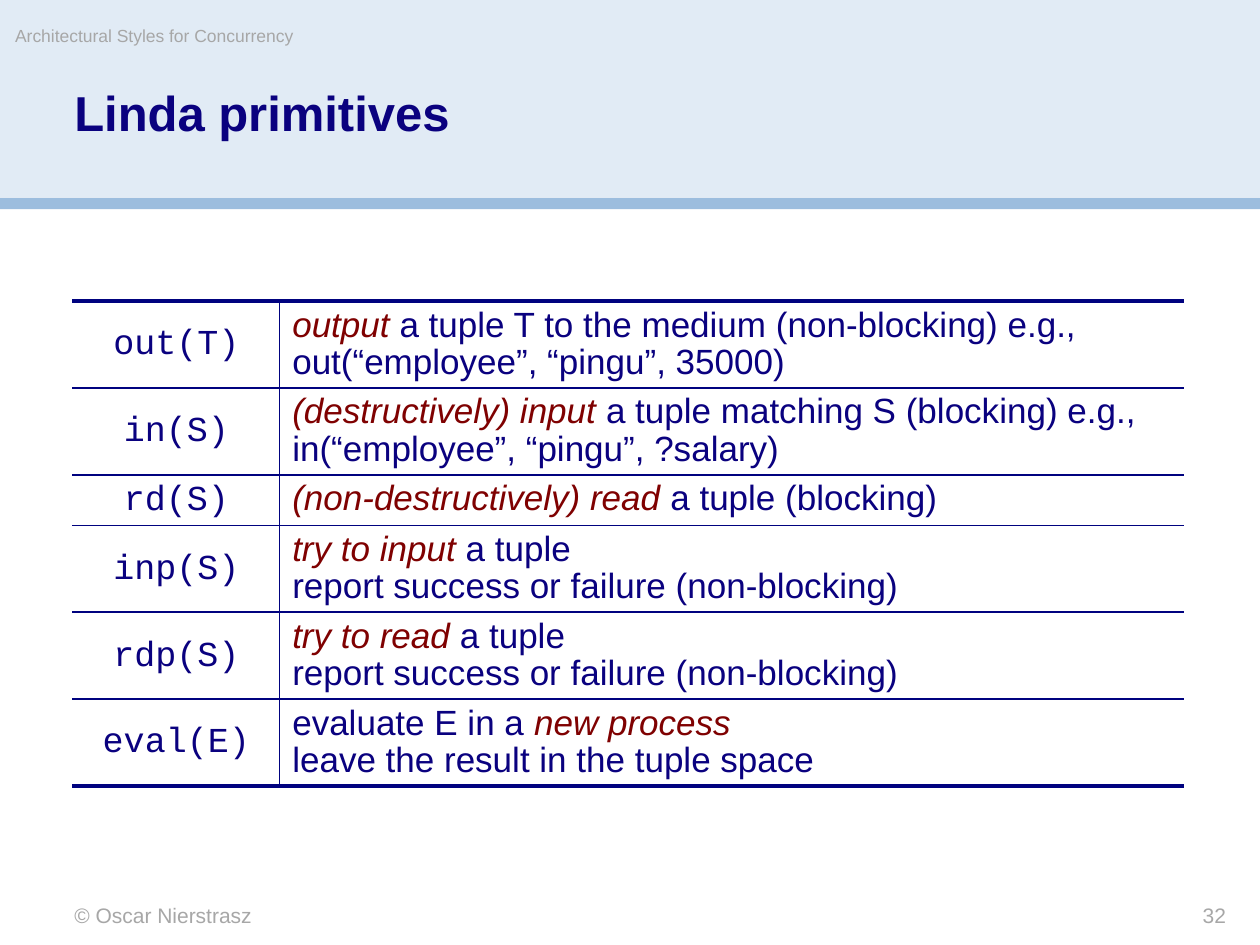
from dataclasses import dataclass
from lxml.etree import SubElement
from pptx import Presentation
from pptx.dml.color import RGBColor as Rgb
from pptx.enum.shapes import MSO_SHAPE as Shape
from pptx.enum.text import MSO_ANCHOR as Anchor, MSO_AUTO_SIZE as Fit, PP_ALIGN as Align
from pptx.oxml.ns import qn
from pptx.util import Inches, Pt


@dataclass(frozen=True)
class Theme:
    """Colours, fonts and type sizes."""
    ink: str = "0A017F"
    rule: str = "00027F"
    accent: str = "7F0101"
    muted: str = "A7A7A7"
    band: str = "E1EBF5"
    stripe: str = "9CBDDE"
    sans: str = "Arial"
    mono: str = "Courier New"
    title: int = 28
    body: int = 20
    foot: int = 12
    head: int = 10
    thick: float = 2.25
    thin: float = 1


THEME = Theme()

ROWS = [
    ("out(T)", "*output* a tuple T to the medium (non-blocking) e.g., out(“employee”, “pingu”, 35000)"),
    ("in(S)", "*(destructively) input* a tuple matching S (blocking) e.g., in(“employee”, “pingu”, ?salary)"),
    ("rd(S)", "*(non-destructively) read* a tuple (blocking)"),
    ("inp(S)", "*try to input* a tuple \nreport success or failure (non-blocking)"),
    ("rdp(S)", "*try to read* a tuple \nreport success or failure (non-blocking)"),
    ("eval(E)", "evaluate E in a *new process*\nleave the result in the tuple space"),
]


def write(frame, text, size=THEME.body, color=THEME.ink, font=THEME.sans,
          bold=False, align=Align.LEFT, space=1.0):
    """Write text into a frame, with *starred* parts in accent italics."""
    para = frame.paragraphs[0]
    para.alignment, para.line_spacing = align, space
    for i, part in enumerate(text.split("*")):
        for j, line in enumerate(part.split("\n")):
            if j:
                para.add_line_break()
            if not line:
                continue
            run = para.add_run()
            run.text = line
            run.font.name, run.font.size = font, Pt(size)
            run.font.bold, run.font.italic = bold, i % 2 == 1
            run.font.color.rgb = Rgb.from_string(THEME.accent if i % 2 else color)


def trim(frame, wrap=True):
    """Clear a frame's margins and fix its size and top anchor."""
    frame.margin_left = frame.margin_right = frame.margin_top = frame.margin_bottom = 0
    frame.word_wrap, frame.auto_size = wrap, Fit.NONE
    frame.vertical_anchor = Anchor.TOP


def label(slide, box, text, wrap=True, **style):
    """Add a small muted text in a box."""
    frame = slide.shapes.add_textbox(*map(Inches, box)).text_frame
    trim(frame, wrap)
    write(frame, text, color=THEME.muted, **style)


def bar(slide, box, color):
    """Add a plain filled bar."""
    shape = slide.shapes.add_shape(Shape.RECTANGLE, *map(Inches, box))
    shape.shadow.inherit = False
    shape.fill.solid()
    shape.fill.fore_color.rgb = Rgb.from_string(color)
    shape.line.fill.background()


def header(slide, box):
    """Place the banner, its running head and the title."""
    x, y, w, h = box
    edge = 0.09
    bar(slide, (x, y, w, h - edge), THEME.band)
    bar(slide, (x, y + h - edge, w, edge), THEME.stripe)
    label(slide, (x + 0.12, y + 0.2, 5.9, 0.28), "Architectural Styles for Concurrency",
          wrap=False, size=THEME.head)
    title = slide.shapes.title
    title.left, title.top, title.width, title.height = map(Inches, (x + 0.59, y + 0.71, 7.24, 0.89))
    trim(title.text_frame)
    write(title.text_frame, "Linda primitives", size=THEME.title, bold=True, space=0.9)
    title.element.getparent().append(title.element)


def border(cell, **sides):
    """Draw the given cell sides, named L, R, T or B, at their widths."""
    props = cell._tc.get_or_add_tcPr()
    for side in "LRTB":
        if side in sides:
            line = SubElement(props, qn(f"a:ln{side}"), w=str(Pt(sides[side])))
            fill = SubElement(line, qn("a:solidFill"))
            SubElement(fill, qn("a:srgbClr"), val=THEME.rule)
    cell.fill.background()


def grid(slide, box):
    """Place the table of primitives under an empty merged row."""
    lead, short, tall = 0.47, 0.4, 0.69
    count = len(ROWS)
    table = slide.shapes.add_table(count + 1, 2, *map(Inches, box)).table
    table.first_row = table.horz_banding = False
    for col, width in zip(table.columns, (1.64, box[2] - 1.64)):
        col.width = Inches(width)
    table.rows[0].height = Inches(lead)
    top = table.cell(0, 0)
    top.merge(table.cell(0, 1))
    for cell in table.rows[0].cells:
        border(cell, B=THEME.thick)
    for i, (name, text) in enumerate(ROWS, 1):
        table.rows[i].height = Inches(short if name == "rd(S)" else tall)
        left, right = table.rows[i].cells
        edges = {"T": THEME.thick if i == 1 else THEME.thin,
                 "B": THEME.thick if i == count else THEME.thin}
        border(left, R=THEME.thin, **edges)
        border(right, L=THEME.thin, **edges)
        left.vertical_anchor = Anchor.MIDDLE
        write(left.text_frame, name, font=THEME.mono, align=Align.CENTER, space=0.95)
        write(right.text_frame, text, space=0.95)


def footer(slide, box):
    """Place the credit on the left and the page number on the right."""
    x, y, w, h = box
    label(slide, (x, y, 4.17, h), "© Oscar Nierstrasz", size=THEME.foot)
    label(slide, (x + w - 1.48, y, 1.48, h), "32", size=THEME.foot, align=Align.RIGHT)


def main():
    """Build and save the slide."""
    deck = Presentation()
    deck.slide_width, deck.slide_height = Inches(10), Inches(7.5)
    slide = deck.slides.add_slide(deck.slide_layouts[5])
    header(slide, (0, 0, 10, 1.66))
    grid(slide, (0.58, 1.92, 8.81, 4.32))
    footer(slide, (0.59, 7.16, 9.14, 0.2))
    deck.save("out.pptx")


if __name__ == "__main__":
    main()
